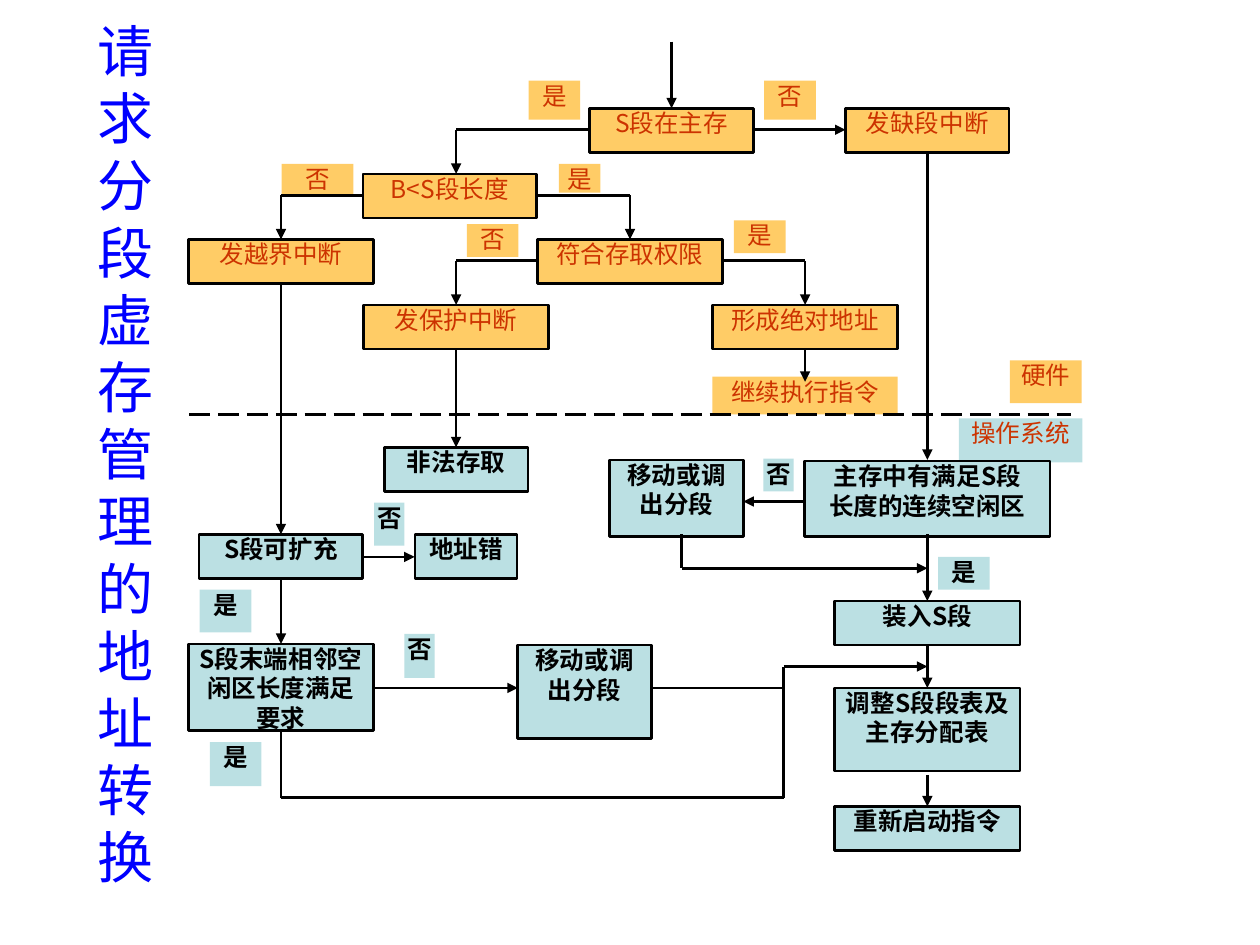
from itertools import pairwise
from lxml import etree
from pptx import Presentation
from pptx.dml.color import RGBColor
from pptx.enum.dml import MSO_LINE_DASH_STYLE as Dash
from pptx.enum.shapes import MSO_CONNECTOR, MSO_SHAPE
from pptx.enum.text import MSO_ANCHOR, MSO_AUTO_SIZE, PP_ALIGN
from pptx.oxml.ns import qn
from pptx.util import Inches, Pt

FONT = "Noto Sans CJK SC"
TITLE = "请求分段虚存管理的地址转换"
BLACK, BLUE = "000000", "0000FF"

# Each zone: fill colour and text format
HARDWARE = ("FFCC66", dict(color="CC3300"))
SYSTEM = ("BBE0E3", dict(color=BLACK, bold=True))
SYSTEM_CAPTION = ("BBE0E3", dict(color="CC3300"))

# Column centres of the flow
BOUND, PROTECT, START, ACCESS, ADDRESS, MISSING = 2.23, 3.62, 5.33, 5.0, 6.39, 7.36
MERGE = 6.22    # riser where the two extension branches join
SPILL = 5.41    # drop below the upper move box

# Hardware rows: tops at an equal step, and the middle line of each
BOX_HEIGHT = 0.35
TOP = [0.86 + 0.52 * row for row in range(4)]
MIDDLE = [top + 0.17 for top in TOP]
BOTTOM = [top + BOX_HEIGHT for top in TOP]
DIVIDER = 3.29

# Process boxes: text, centre, top, width, height
HARDWARE_BOXES = [
    ("S段在主存", START, TOP[0], 1.3, BOX_HEIGHT),
    ("发缺段中断", MISSING, TOP[0], 1.3, BOX_HEIGHT),
    ("B<S段长度", 3.57, TOP[1], 1.38, BOX_HEIGHT),
    ("发越界中断", BOUND, TOP[2], 1.47, BOX_HEIGHT),
    ("符合存取权限", ACCESS, TOP[2], 1.47, BOX_HEIGHT),
    ("发保护中断", PROTECT, TOP[3], 1.47, BOX_HEIGHT),
    ("形成绝对地址", ADDRESS, TOP[3], 1.47, BOX_HEIGHT),
]
SYSTEM_BOXES = [
    ("非法存取", PROTECT, 3.55, 1.14, BOX_HEIGHT),
    ("移动或调\n出分段", 5.37, 3.65, 1.06, 0.61),
    ("主存中有满足S段\n长度的连续空闲区", MISSING, 3.66, 1.95, 0.6),
    ("S段可扩充", BOUND, 4.24, 1.3, BOX_HEIGHT),
    ("地址错", 3.7, 4.24, 0.81, BOX_HEIGHT),
    ("装入S段", MISSING, 4.77, 1.47, BOX_HEIGHT),
    ("S段末端相邻空\n闲区长度满足\n要求", BOUND, 5.11, 1.47, 0.69),
    ("移动或调\n出分段", 4.64, 5.12, 1.06, 0.74),
    ("调整S段段表及主存分配表", MISSING, 5.46, 1.47, 0.66),
    ("重新启动指令", MISSING, 6.4, 1.47, BOX_HEIGHT),
]

# Borderless labels: text, centre, top, width, height
HARDWARE_LABELS = [
    ("是", 4.4, 0.64, 0.41, 0.31),
    ("否", 6.27, 0.64, 0.41, 0.31),
    ("否", 2.52, 1.3, 0.57, 0.26),
    ("是", 4.6, 1.3, 0.33, 0.23),
    ("否", 3.91, 1.78, 0.41, 0.26),
    ("是", 6.03, 1.75, 0.41, 0.26),
    ("继续执行指令", ADDRESS, 2.99, 1.47, 0.3),
    ("硬件", 8.3, 2.86, 0.57, 0.34),
]
CAPTION_LABELS = [("操作系统", 8.1, 3.32, 0.98, 0.35)]
SYSTEM_LABELS = [
    ("否", 6.18, 3.64, 0.24, 0.26),
    ("否", 3.09, 3.99, 0.24, 0.34),
    ("是", 7.65, 4.42, 0.41, 0.26),
    ("是", 1.79, 4.68, 0.41, 0.34),
    ("否", 3.33, 5.03, 0.24, 0.35),
    ("是", 1.87, 5.89, 0.41, 0.35),
]

# Flow routes as corner points; an arrowhead closes each one
ARROWS = [
    [(START, 0.33), (START, TOP[0])],
    [(5.98, MIDDLE[0]), (6.71, MIDDLE[0])],
    [(4.68, MIDDLE[0]), (PROTECT, MIDDLE[0]), (PROTECT, TOP[1])],
    [(2.88, MIDDLE[1]), (BOUND, MIDDLE[1]), (BOUND, TOP[2])],
    [(4.27, MIDDLE[1]), (ACCESS, MIDDLE[1]), (ACCESS, TOP[2])],
    [(4.27, MIDDLE[2]), (PROTECT, MIDDLE[2]), (PROTECT, TOP[3])],
    [(5.73, MIDDLE[2]), (ADDRESS, MIDDLE[2]), (ADDRESS, TOP[3])],
    [(ADDRESS, BOTTOM[3]), (ADDRESS, 3.03)],
    [(MISSING, BOTTOM[0]), (MISSING, 3.65)],
    [(BOUND, BOTTOM[2]), (BOUND, 4.24)],
    [(PROTECT, BOTTOM[3]), (PROTECT, 3.55)],
    [(6.39, 3.98), (5.9, 3.98)],
    [(SPILL, 4.24), (SPILL, 4.51), (MISSING, 4.51)],
    [(MISSING, 4.24), (MISSING, 4.77)],
    [(MISSING, 5.12), (MISSING, 5.46)],
    [(MISSING, 6.15), (MISSING, 6.4)],
    [(2.88, 4.42), (3.29, 4.42)],
    [(BOUND, 4.59), (BOUND, 5.11)],
    [(2.97, 5.46), (4.11, 5.46)],
    [(BOUND, 5.81), (BOUND, 6.33), (MERGE, 6.33), (MERGE, 5.29), (MISSING, 5.29)],
]
MOVE_LINK = ((5.16, 5.46), (MERGE, 5.46))


def rgb(value):
    return RGBColor.from_string(value)


def write(frame, text, size=14, color=BLACK, bold=False, align=PP_ALIGN.CENTER, margins=(0, 0)):
    frame.word_wrap = True
    frame.auto_size = MSO_AUTO_SIZE.NONE
    frame.vertical_anchor = MSO_ANCHOR.TOP
    frame.margin_left = frame.margin_right = Inches(margins[0])
    frame.margin_top = frame.margin_bottom = Inches(margins[1])
    for index, line in enumerate(text.split("\n")):
        para = frame.add_paragraph() if index else frame.paragraphs[0]
        para.alignment = align
        span = para.add_run()
        span.text = line
        font = span.font
        font.size, font.bold, font.name = Pt(size), bold, FONT
        font.color.rgb = rgb(color)
        etree.SubElement(span._r.get_or_add_rPr(), qn("a:ea"), typeface=FONT)


def add_box(page, item, zone, border):
    text, centre, top, width, height = item
    fill, text_format = zone
    box = page.shapes.add_shape(MSO_SHAPE.RECTANGLE, Inches(centre - width / 2),
                                Inches(top), Inches(width), Inches(height))
    box.shadow.inherit = False
    box.fill.solid()
    box.fill.fore_color.rgb = rgb(fill)
    if border:
        box.line.color.rgb = rgb(BLACK)
        box.line.width = Pt(1.5)
    else:
        box.line.fill.background()
    write(box.text_frame, text, **text_format)


def add_line(page, start, end, arrow=False, dash=None):
    line = page.shapes.add_connector(MSO_CONNECTOR.STRAIGHT,
                                     *(Inches(value) for value in (*start, *end)))
    line.line.color.rgb = rgb(BLACK)
    line.line.width = Pt(1.5)
    if dash:
        line.line.dash_style = dash
    if arrow:
        etree.SubElement(line.line._get_or_add_ln(), qn("a:tailEnd"), type="triangle")
    etree.SubElement(line._element.spPr, qn("a:effectLst"))


def main():
    deck = Presentation()
    deck.slide_width, deck.slide_height = Inches(10), Inches(7.5)
    page = deck.slides.add_slide(deck.slide_layouts[5])

    # Title: a column so narrow that each character takes a line
    title = page.shapes.title
    title.left, title.top = Inches(0.67), Inches(0.08)
    title.width, title.height = Inches(1), Inches(7.04)
    write(title.text_frame, TITLE, size=32, color=BLUE, align=PP_ALIGN.LEFT, margins=(0.1, 0.05))

    # Labels lie behind the boxes
    for items, zone, border in [
        (HARDWARE_LABELS, HARDWARE, False),
        (CAPTION_LABELS, SYSTEM_CAPTION, False),
        (SYSTEM_LABELS, SYSTEM, False),
        (HARDWARE_BOXES, HARDWARE, True),
        (SYSTEM_BOXES, SYSTEM, True),
    ]:
        for item in items:
            add_box(page, item, zone, border)

    # Flow lines and the hardware / system divider
    for route in ARROWS:
        for start, end in pairwise(route):
            add_line(page, start, end, arrow=end == route[-1])
    add_line(page, *MOVE_LINK)
    add_line(page, (1.5, DIVIDER), (8.5, DIVIDER), dash=Dash.LONG_DASH)

    deck.save("out.pptx")


if __name__ == "__main__":
    main()
